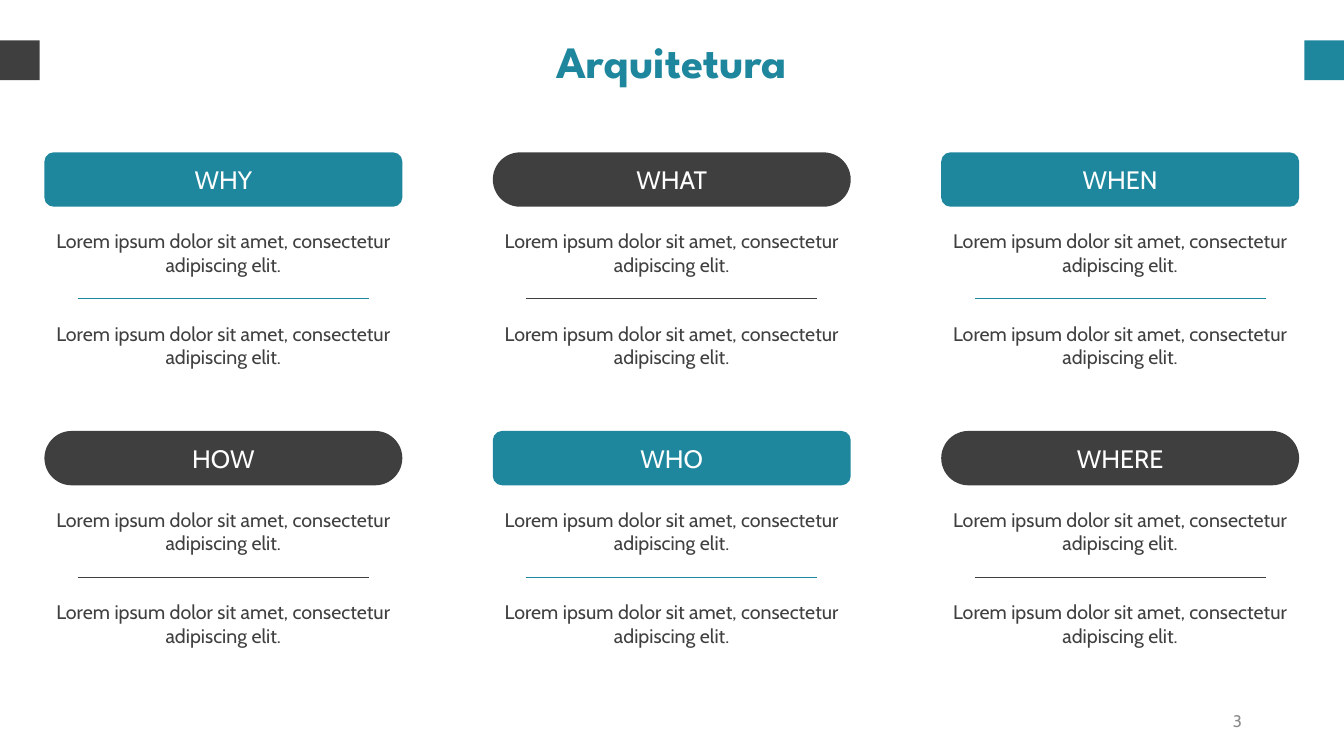
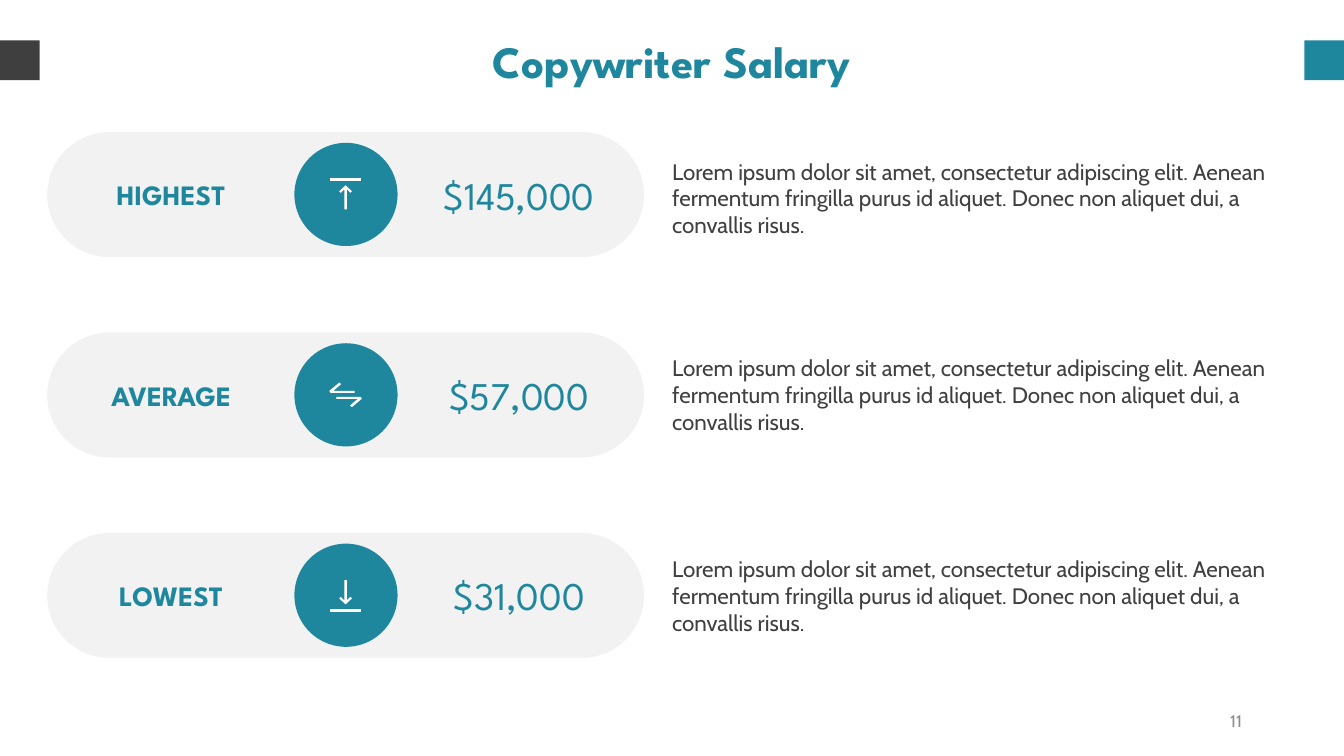
from pptx import Presentation
from pptx.dml.color import RGBColor as RGB
from pptx.enum.shapes import MSO_CONNECTOR as Link, MSO_SHAPE as Kind
from pptx.enum.text import MSO_ANCHOR as Anchor, MSO_AUTO_SIZE as Fit, PP_ALIGN as Align
from pptx.oxml.ns import qn
from pptx.util import Cm, Pt


class Theme:
    teal = RGB.from_string("1F879D")
    dark = RGB.from_string("3F3F3F")
    ink = RGB.from_string("404040")
    pale = RGB.from_string("F2F2F2")
    gray = RGB.from_string("8C8C8C")
    white = RGB.from_string("FFFFFF")
    head, body = "League Spartan", "Cabin"
    rule = Pt(0.5)

    flush = dict(margin_left=0, margin_right=0, margin_top=0, margin_bottom=0,
                 word_wrap=True, auto_size=Fit.SHAPE_TO_FIT_TEXT)
    mid = dict(flush, vertical_anchor=Anchor.MIDDLE)
    plain = dict(word_wrap=True, vertical_anchor=Anchor.MIDDLE)

    # Each style: frame format, alignment, colour, font format
    title = flush, Align.CENTER, teal, dict(name=head, size=Pt(32), bold=True)
    page = plain, Align.RIGHT, gray, dict(name=body, size=Pt(12))
    banner = plain, Align.CENTER, white, dict(name=body, size=Pt(18))
    note = flush, Align.CENTER, ink, dict(name=body, size=Pt(14))
    label = mid, Align.CENTER, teal, dict(name=head, size=Pt(20), bold=True)
    value = mid, Align.CENTER, teal, dict(name=head, size=Pt(28))
    text = mid, Align.LEFT, ink, dict(name=body, size=Pt(16))


def paint(shape, fill):
    """Give the shape a flat fill with no line or shadow."""
    shape.shadow.inherit = False
    shape.fill.solid()
    shape.fill.fore_color.rgb = fill
    shape.line.fill.background()
    return shape


def write(shape, words, style):
    frame, align, color, font = style
    para = shape.text_frame.paragraphs[0]
    run = para.add_run()
    run.text = words
    para.alignment = align
    run.font.color.rgb = color
    for part, form in ((shape.text_frame, frame), (run.font, font)):
        for key, val in form.items():
            setattr(part, key, val)


deck = Presentation()
deck.slide_width, deck.slide_height = Cm(33.87), Cm(19.05)

# Shared title, corner squares and page number
pages = []
for title, num in (("Arquitetura", "3"), ("Copywriter Salary", "11")):
    shapes = deck.slides.add_slide(deck.slide_layouts[6]).shapes
    write(shapes.add_textbox(Cm(1.73), Cm(0.84), Cm(30.4), Cm(1.37)), title, Theme.title)
    for left, fill in ((32.87, Theme.teal), (0, Theme.dark)):
        paint(shapes.add_shape(Kind.RECTANGLE, Cm(left), Cm(1.02), Cm(1), Cm(1)), fill)
    write(shapes.add_textbox(Cm(23.93), Cm(17.65), Cm(7.62), Cm(1.02)), num, Theme.page)
    pages.append(shapes)
grid, pay = pages

# Six questions, two banner styles in turn
wide = Cm(9.02)
lorem = "Lorem ipsum dolor sit amet, consectetur adipiscing elit."
for i, word in enumerate(("WHY", "WHAT", "WHEN", "HOW", "WHO", "WHERE")):
    row, col = divmod(i, 3)
    left, top = Cm(1.12 + 11.3 * col), Cm(3.84 + 7.02 * row)
    fill, bend = ((Theme.teal, 0.17), (Theme.dark, 0.5))[i % 2]
    banner = paint(grid.add_shape(Kind.ROUNDED_RECTANGLE, left, top, wide, Cm(1.37)), fill)
    banner.adjustments[0] = bend
    write(banner, word, Theme.banner)
    for drop in (1.93, 4.27):
        write(grid.add_textbox(left, top + Cm(drop), wide, Cm(1.19)), lorem, Theme.note)
    start, level = left + Cm(0.84), top + Cm(3.68)
    rule = grid.add_connector(Link.STRAIGHT, start, level, start + Cm(7.34), level)
    rule.line.color.rgb, rule.line.width = fill, Theme.rule
    props = rule._element.spPr
    props.append(props.makeelement(qn("a:effectLst"), {}))

# Icon outlines in cm from the circle's centre; a turn of -1 rotates by 180 degrees
arrow = ((0, -0.23), (0.16, -0.08), (0.12, -0.04), (0.03, -0.13), (0.03, 0.38),
         (-0.03, 0.38), (-0.03, -0.13), (-0.12, -0.04), (-0.16, -0.08))
bar = (-0.39, -0.41), (0.39, -0.41), (0.39, -0.35), (-0.39, -0.35)
barb = ((0.23, -0.05), (-0.38, -0.05), (-0.41, -0.1), (-0.16, -0.31),
        (-0.11, -0.27), (-0.31, -0.1), (0.23, -0.1))

# Salary rows: label, amount, top of the text, icon parts with their turn
rows = (
    ("HIGHEST", "$145,000", 3.96, ((arrow, 1), (bar, 1))),
    ("AVERAGE", "$57,000", 8.92, ((barb, 1), (barb, -1))),
    ("LOWEST", "$31,000", 13.97, ((arrow, -1), (bar, -1))),
)
story = ("Lorem ipsum dolor sit amet, consectetur adipiscing elit. Aenean fermentum "
         "fringilla purus id aliquet. Donec non aliquet dui, a convallis risus.")
for i, (label, value, high, icon) in enumerate(rows):
    mid = 4.9 + 5.05 * i
    pill = paint(pay.add_shape(Kind.ROUNDED_RECTANGLE, Cm(1.19), Cm(mid - 1.57),
                               Cm(15.04), Cm(3.15)), Theme.pale)
    pill.adjustments[0] = 0.5
    paint(pay.add_shape(Kind.OVAL, Cm(7.42), Cm(mid - 1.3), Cm(2.6), Cm(2.6)), Theme.teal)
    for shape, turn in icon:
        spots = [(Cm(8.71 + turn * x), Cm(mid + turn * y)) for x, y in shape]
        pen = pay.build_freeform(*spots[0])
        pen.add_line_segments(spots[1:], close=True)
        paint(pen.convert_to_shape(), Theme.white)
    for left, top, width, height, words, style in (
        (2.13, mid - 0.43, 4.37, 0.86, label, Theme.label),
        (10.9, mid - 0.6, 4.37, 1.2, value, Theme.value),
        (16.94, high, 15.75, 2.06, story, Theme.text),
    ):
        write(pay.add_textbox(Cm(left), Cm(top), Cm(width), Cm(height)), words, style)

deck.save("out.pptx")
